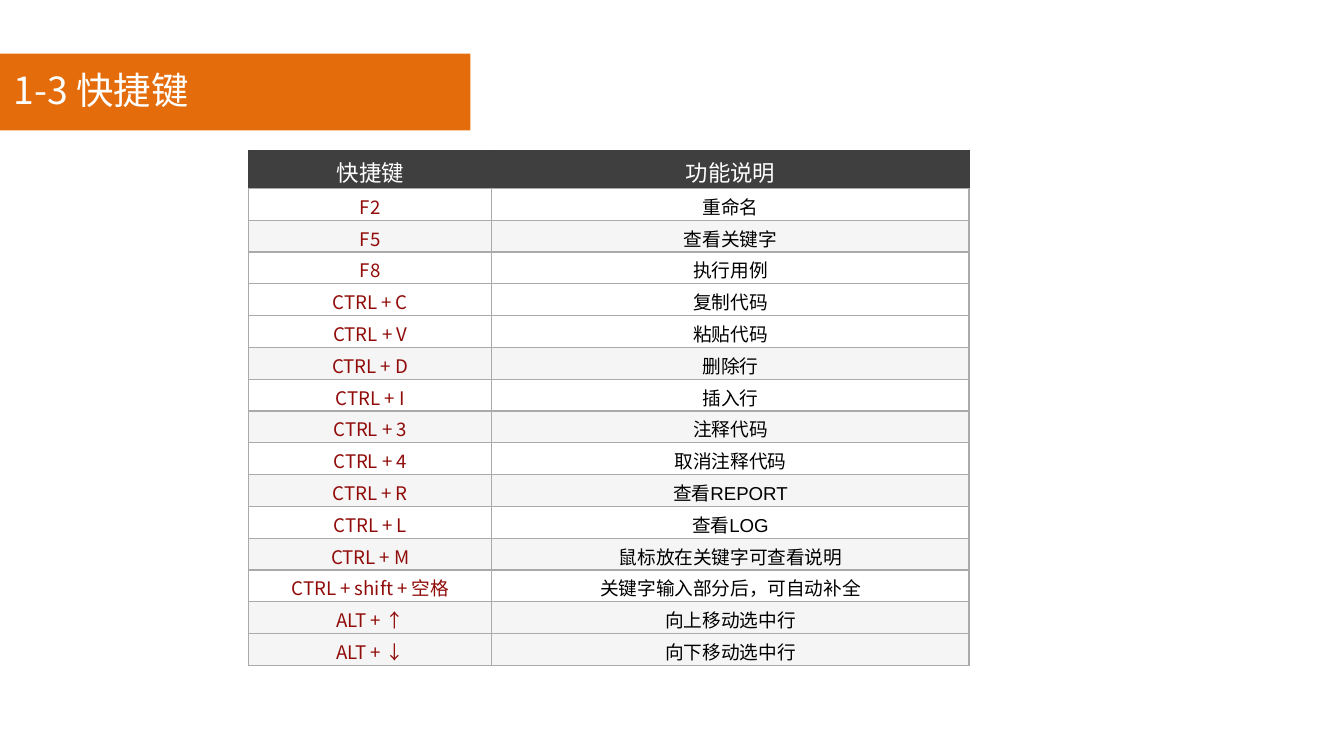
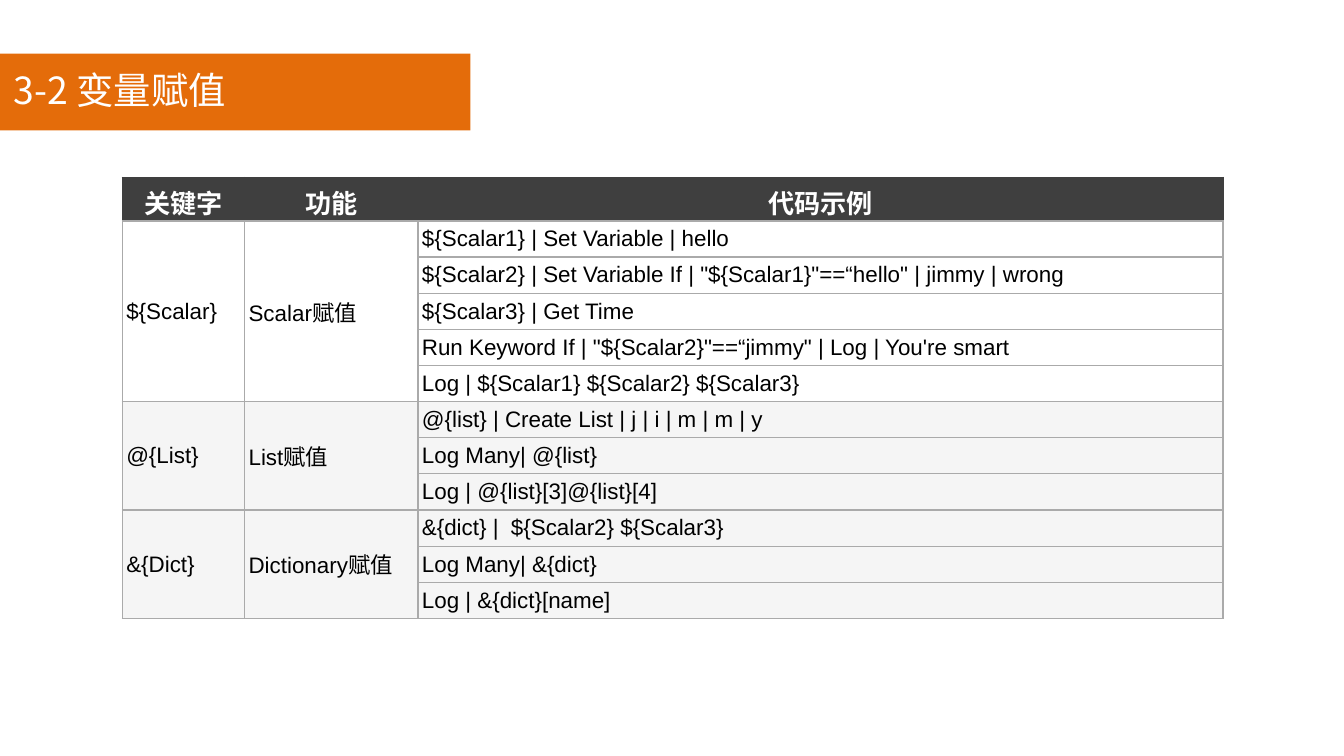
from dataclasses import dataclass

from lxml import etree
from pptx import Presentation
from pptx import util as u
from pptx.dml.color import RGBColor
from pptx.enum import shapes, text
from pptx.oxml import ns


@dataclass(frozen=True)
class Theme:
    """Colours, fonts and type sizes shared by the slides."""
    band: str = "E46C0A"
    header: str = "3F3F3F"
    border: str = "AAAAAA"
    white: str = "FFFFFF"
    grey: str = "F5F5F5"
    shortcut: str = "900B09"
    ink: str = "000000"
    heading_font: str = "Noto Sans CJK SC"
    header_font: str = "Calibri"
    body_font: str = "Arial"
    title_size: float = 20
    border_width: float = 0.75
    header_inset: float = 0.04
    body_inset: float = 0.03


THEME = Theme()
SLIDE_WIDTH = 10
SLIDE_HEIGHT = SLIDE_WIDTH * 9 / 16
TITLE_ONLY = 5

# Key, meaning, and whether the row is shaded.
SHORTCUTS = [
    ("F2", "重命名", False),
    ("F5", "查看关键字", True),
    ("F8", "执行用例", False),
    ("CTRL + C", "复制代码", False),
    ("CTRL + V", "粘贴代码", False),
    ("CTRL + D", "删除行", True),
    ("CTRL + I", "插入行", False),
    ("CTRL + 3", "注释代码", True),
    ("CTRL + 4", "取消注释代码", False),
    ("CTRL + R", "查看REPORT", True),
    ("CTRL + L", "查看LOG", False),
    ("CTRL + M", "鼠标放在关键字可查看说明", True),
    ("CTRL + shift + 空格", "关键字输入部分后，可自动补全", False),
    ("ALT + ↑", "向上移动选中行", True),
    ("ALT + ↓", "向下移动选中行", True),
]

# Keyword, purpose, whether the group is shaded, and its code lines.
ASSIGNMENTS = [
    ("${Scalar}", "Scalar赋值", False, [
        "${Scalar1} | Set Variable | hello",
        '${Scalar2} | Set Variable If | "${Scalar1}"==“hello" | jimmy | wrong',
        "${Scalar3} | Get Time",
        'Run Keyword If | "${Scalar2}"==“jimmy" | Log | You\'re smart',
        "Log | ${Scalar1} ${Scalar2} ${Scalar3}",
    ]),
    ("@{List}", "List赋值", True, [
        "@{list} | Create List | j | i | m | m | y",
        "Log Many| @{list}",
        "Log | @{list}[3]@{list}[4]",
    ]),
    ("&{Dict}", "Dictionary赋值", True, [
        "&{dict} |  ${Scalar2} ${Scalar3}",
        "Log Many| &{dict}",
        "Log | &{dict}[name]",
    ]),
]


def format_runs(paragraph, font, size, color, bold=False):
    """Give every run of a paragraph its font, size and colour."""
    for run in paragraph.runs:
        run.font.name = font
        run.font.size = u.Pt(size)
        run.font.bold = bold
        run.font.color.rgb = RGBColor.from_string(color)
        east_asian = etree.SubElement(run.font._element, ns.qn("a:ea"))
        east_asian.set("typeface", THEME.heading_font)


def set_insets(cell, inset, bottom):
    """Set the cell's margins in inches."""
    cell.margin_left = cell.margin_right = cell.margin_top = u.Inches(inset)
    cell.margin_bottom = u.Inches(bottom)


def set_borders(cell, outer, bottom):
    """Draw the cell's side and top lines in one colour, the bottom in another."""
    properties = cell._tc.get_or_add_tcPr()
    for tag, color in (("lnL", outer), ("lnR", outer), ("lnT", outer), ("lnB", bottom)):
        line = etree.SubElement(properties, ns.qn(f"a:{tag}"))
        line.set("w", str(u.Pt(THEME.border_width)))
        fill = etree.SubElement(line, ns.qn("a:solidFill"))
        etree.SubElement(fill, ns.qn("a:srgbClr")).set("val", color)


def style_cell(cell, fill, border, inset, bottom):
    """Set a cell's lines, fill, margins and vertical centring."""
    set_borders(cell, border, THEME.border)
    cell.fill.solid()
    cell.fill.fore_color.rgb = RGBColor.from_string(fill)
    set_insets(cell, inset, bottom)
    cell.vertical_anchor = text.MSO_ANCHOR.MIDDLE


def write_cell(cell, words, font, size, color, align, bold=False):
    """Write one formatted paragraph into a cell."""
    cell.text_frame.text = words
    paragraph = cell.text_frame.paragraphs[0]
    paragraph.alignment = align
    format_runs(paragraph, font, size, color, bold)


def add_titled_slide(presentation, title):
    """Add a slide with the orange band and its title."""
    slide = presentation.slides.add_slide(presentation.slide_layouts[TITLE_ONLY])
    band = slide.shapes.add_shape(shapes.MSO_SHAPE.RECTANGLE, 0, u.Inches(0.4),
                                  u.Inches(0.35 * SLIDE_WIDTH), u.Inches(0.57))
    band.shadow.inherit = False
    band.fill.solid()
    band.fill.fore_color.rgb = RGBColor.from_string(THEME.band)
    band.line.fill.background()

    heading = slide.shapes.title
    heading.left, heading.top = 0, u.Inches(0.45)
    heading.width, heading.height = u.Inches(3.27), u.Inches(0.44)
    slide.shapes._spTree.append(heading._element)  # in front of the band
    frame = heading.text_frame
    frame.text = title
    frame.word_wrap = True
    frame.auto_size = text.MSO_AUTO_SIZE.NONE
    frame.vertical_anchor = text.MSO_ANCHOR.MIDDLE
    paragraph = frame.paragraphs[0]
    paragraph.alignment = text.PP_ALIGN.LEFT
    format_runs(paragraph, THEME.heading_font, THEME.title_size, THEME.white)
    return slide


def add_grid(slide, left, top, height, columns, headers, header_height, header_size,
             shades, bold=False, body_bottom=0):
    """Add a table with a dark header and one equal body row per shade flag."""
    frame = slide.shapes.add_table(len(shades) + 1, len(columns), u.Inches(left),
                                   u.Inches(top), u.Inches(sum(columns)), u.Inches(height))
    table = frame.table
    table.horz_banding = False
    for column, width in zip(table.columns, columns):
        column.width = u.Inches(width)
    for row in table.rows:
        row.height = u.Inches((height - header_height) / len(shades))
    table.rows[0].height = u.Inches(header_height)

    for index, words in enumerate(headers):
        cell = table.cell(0, index)
        style_cell(cell, THEME.header, THEME.header, THEME.header_inset, 0)
        write_cell(cell, words, THEME.header_font, header_size, THEME.white,
                   text.PP_ALIGN.CENTER, bold)
    for row, shaded in enumerate(shades, start=1):
        for index in range(len(columns)):
            style_cell(table.cell(row, index), THEME.grey if shaded else THEME.white,
                       THEME.border, THEME.body_inset, body_bottom)
    return table


def add_shortcut_slide(presentation):
    """Build the list of keyboard shortcuts."""
    slide = add_titled_slide(presentation, "1-3 快捷键")
    table = add_grid(slide, 1.85, 1.12, 3.83, (1.81, 3.55), ("快捷键", "功能说明"),
                     0.28, 12, [shaded for _, _, shaded in SHORTCUTS])
    center = text.PP_ALIGN.CENTER
    for row, (keys, meaning, _) in enumerate(SHORTCUTS, start=1):
        write_cell(table.cell(row, 0), keys, THEME.heading_font, 10, THEME.shortcut, center)
        write_cell(table.cell(row, 1), meaning, THEME.body_font, 10, THEME.ink, center)


def add_assignment_slide(presentation):
    """Build the table of variable assignments, merging cells by group."""
    slide = add_titled_slide(presentation, "3-2 变量赋值")
    shades = [shaded for _, _, shaded, lines in ASSIGNMENTS for _ in lines]
    table = add_grid(slide, 0.91, 1.32, 3.28, (0.91, 1.29, 5.99),
                     ("关键字", "功能", "代码示例"), 0.32, 14, shades, bold=True,
                     body_bottom=THEME.body_inset)
    body = (THEME.body_font, 12, THEME.ink, text.PP_ALIGN.LEFT)
    first = 1
    for keyword, purpose, _, lines in ASSIGNMENTS:
        for index, words in enumerate((keyword, purpose)):
            table.cell(first, index).merge(table.cell(first + len(lines) - 1, index))
            write_cell(table.cell(first, index), words, *body)
        for row, line in enumerate(lines, start=first):
            write_cell(table.cell(row, 2), line, *body)
        first += len(lines)


def main():
    """Build and save the presentation."""
    presentation = Presentation()
    presentation.slide_width = u.Inches(SLIDE_WIDTH)
    presentation.slide_height = u.Inches(SLIDE_HEIGHT)
    add_shortcut_slide(presentation)
    add_assignment_slide(presentation)
    presentation.save("out.pptx")


main()
